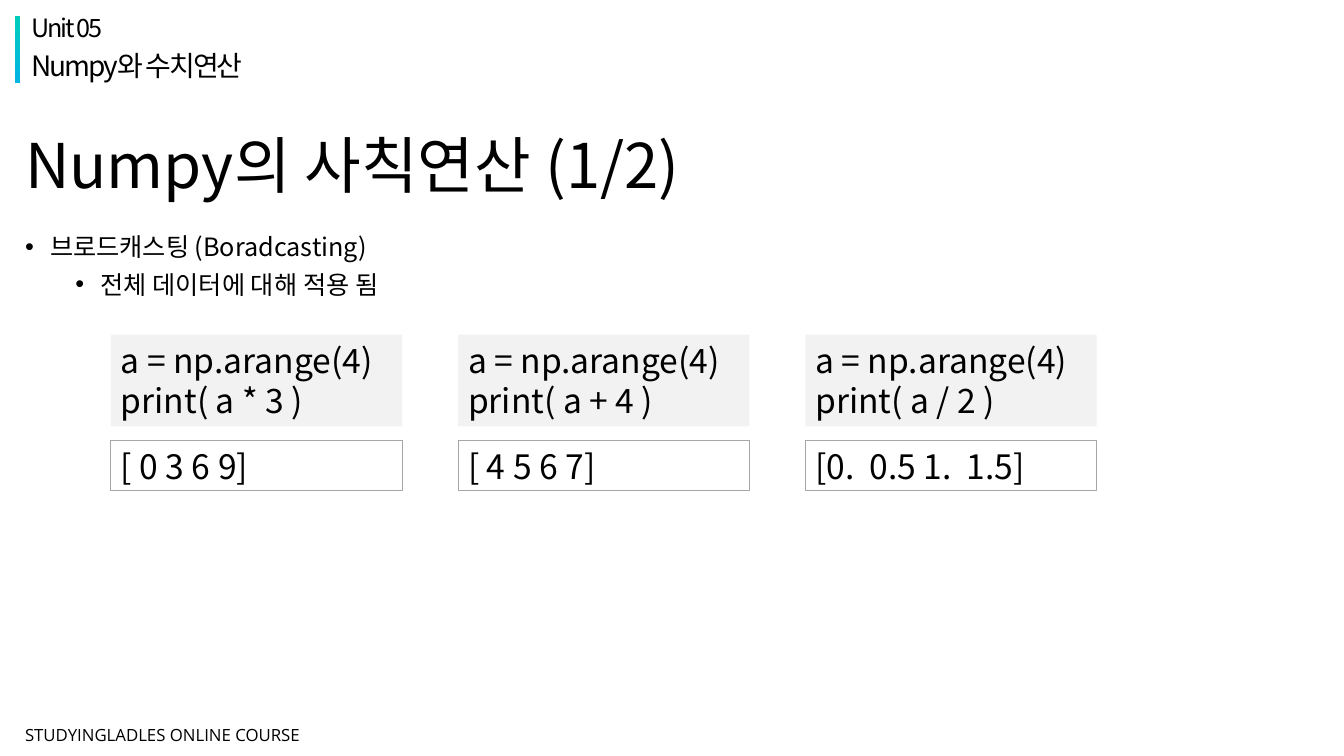
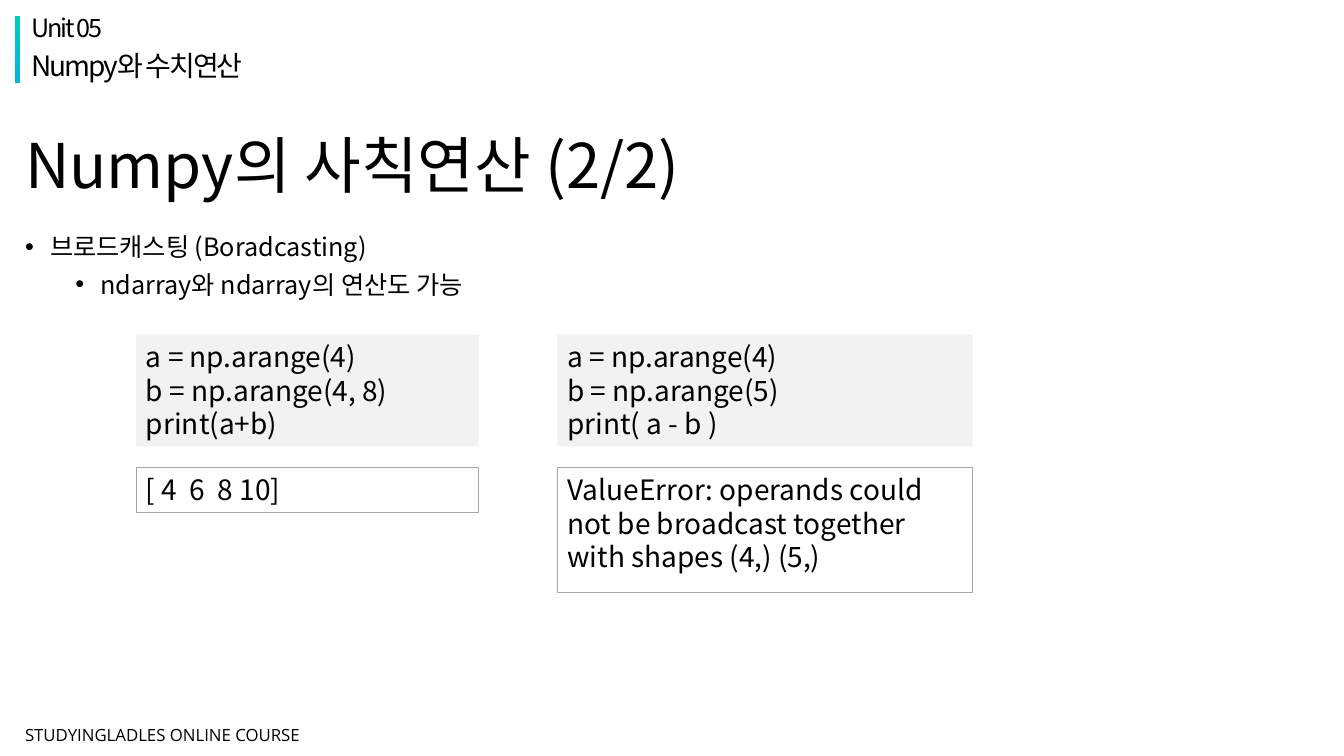
import pptx
import pptx.util
import pptx.dml.color
import pptx.enum.shapes
import pptx.enum.text
import lxml.etree

# Grid: one cell is a tenth of an inch; boxes are (column, row, columns, rows)
CELL = 0.1
COLUMNS, ROWS = 133.33, 75

BLACK, WHITE = "000000", "FFFFFF"
CODE_FILL, RESULT_LINE = "F2F2F2", "A6A6A6"
BAND_TOP, BAND_BOTTOM = "02CCBA", "02B3E4"
MAIN_FONT, FOOTER_FONT = "Noto Sans CJK KR", "Open Sans"
MIDDLE = pptx.enum.text.MSO_ANCHOR.MIDDLE
TOP = pptx.enum.text.MSO_ANCHOR.TOP


def cells(count):
    return pptx.util.Inches(count * CELL)


def color(value):
    return pptx.dml.color.RGBColor.from_string(value)


def add_tag(parent, tag, **attributes):
    return lxml.etree.SubElement(parent, pptx.oxml.ns.qn(tag), attributes)


def style_paragraph(para, size, font=MAIN_FONT, tracking=0):
    para.alignment = pptx.enum.text.PP_ALIGN.LEFT
    para.font.size = pptx.util.Pt(size)
    para.font.color.rgb = color(BLACK)
    para.font.name = font
    defaults = para._p.get_or_add_pPr().get_or_add_defRPr()
    add_tag(defaults, "a:ea", typeface=font)
    if tracking:
        defaults.set("spc", str(int(tracking * 100)))


def add_bullet(para, level):
    """Hang a bullet a quarter inch left of the text."""
    para.level = level
    properties = para._p.get_or_add_pPr()
    properties.set("marL", str(pptx.util.Inches(0.25 + 0.5 * level)))
    properties.set("indent", str(pptx.util.Inches(-0.25)))
    defaults = properties.get_or_add_defRPr()
    for tag, attributes in (("a:buFont", {"typeface": "Arial"}),
                            ("a:buChar", {"char": "•"})):
        defaults.addprevious(add_tag(properties, tag, **attributes))


def write_lines(box, lines, size, anchor=TOP, **style):
    frame = box.text_frame
    frame.word_wrap = True
    frame.vertical_anchor = anchor
    for index, line in enumerate(lines):
        para = frame.add_paragraph() if index else frame.paragraphs[0]
        para.add_run().text = line
        style_paragraph(para, size, **style)
    return frame.paragraphs


def add_text(page, area, lines, size, **style):
    box = page.shapes.add_textbox(*map(cells, area))
    return write_lines(box, lines, size, **style)


def add_rectangle(page, area):
    box = page.shapes.add_shape(
        pptx.enum.shapes.MSO_SHAPE.RECTANGLE, *map(cells, area))
    box.shadow.inherit = False
    box.line.fill.background()
    return box


def add_header(page, area):
    """Gradient band with the unit number and unit name beside it."""
    column, row, columns, rows = area
    band = add_rectangle(page, (column, row, 0.5, rows))
    band.fill.gradient()
    band.fill.gradient_angle = 270
    for stop, value in zip(band.fill.gradient_stops, (BAND_TOP, BAND_BOTTOM)):
        stop.color.rgb = color(value)
    labels = (("Unit 05", 18), ("Numpy와 수치연산", 20))
    for index, (label, size) in enumerate(labels):
        place = (column + 0.6, row - 0.5 + 3.6 * index, columns, 3.4)
        para = add_text(page, place, [label], size, tracking=-1.5)[0]
        para.line_spacing = 0.9


def add_title(page, area, title):
    add_text(page, area, [title], 44, anchor=MIDDLE)[0].line_spacing = 0.9


def add_topics(page, area, topics):
    for level, para in enumerate(add_text(page, area, topics, 18)):
        para.space_before = pptx.util.Pt(5 if level else 10)
        add_bullet(para, level)


def add_footer(page, area):
    add_text(page, area, ["STUDYINGLADLES ONLINE COURSE"], 12,
             anchor=MIDDLE, font=FOOTER_FONT)


def add_example(page, area, code, result, size, gap, result_rows):
    """Grey code box with its outlined result below."""
    column, row, columns, rows = area
    code_box = add_rectangle(page, area)
    code_box.fill.solid()
    code_box.fill.fore_color.rgb = color(CODE_FILL)
    write_lines(code_box, code, size)

    result_box = add_rectangle(
        page, (column, row + rows + gap, columns, result_rows))
    result_box.fill.background()
    result_box.line.color.rgb = color(RESULT_LINE)
    result_box.line.width = pptx.util.Pt(0.75)
    write_lines(result_box, [result], size)


def add_page(deck, part, topic, first_column, code_rows, size,
             column_gap, row_gap, examples):
    page = deck.slides.add_slide(deck.slide_layouts[6])
    page.background.fill.solid()
    page.background.fill.fore_color.rgb = color(WHITE)
    add_header(page, (1.5, 1.6, 80.5, 6.6))
    add_footer(page, (1.5, 71.1, 39.7, 3.6))
    add_title(page, (1.5, 12.5, 115, 8.5), f"Numpy의 사칙연산 ({part}/2)")
    add_topics(page, (1.5, 22.5, 115, 10.7),
               ["브로드캐스팅 (Boradcasting)", topic])
    column = first_column
    for columns, result_rows, code, result in examples:
        add_example(page, (column, 33.2, columns, code_rows),
                    code, result, size, row_gap, result_rows)
        column += columns + column_gap


def main():
    deck = pptx.Presentation()
    deck.slide_width, deck.slide_height = cells(COLUMNS), cells(ROWS)

    # Array with a single number
    results = (("* 3", "[ 0 3 6 9]"), ("+ 4", "[ 4 5 6 7]"),
               ("/ 2", "[0.  0.5 1.  1.5]"))
    add_page(deck, 1, "전체 데이터에 대해 적용 됨", 11, 9.1, 24, 5.55, 1.4,
             [(28.9, 5, ["a = np.arange(4)", f"print( a {operation} )"], result)
              for operation, result in results])

    # Array with array
    add_page(deck, 2, "ndarray와 ndarray의 연산도 가능", 13.5, 11.1, 20, 7.8, 2.1, [
        (34, 4.4, ["a = np.arange(4)", "b = np.arange(4, 8)", "print(a+b)"],
         "[ 4  6  8 10]"),
        (41.2, 12.4, ["a = np.arange(4)", "b = np.arange(5)", "print( a - b )"],
         "ValueError: operands could not be broadcast together "
         "with shapes (4,) (5,)"),
    ])
    deck.save("out.pptx")


if __name__ == "__main__":
    main()
